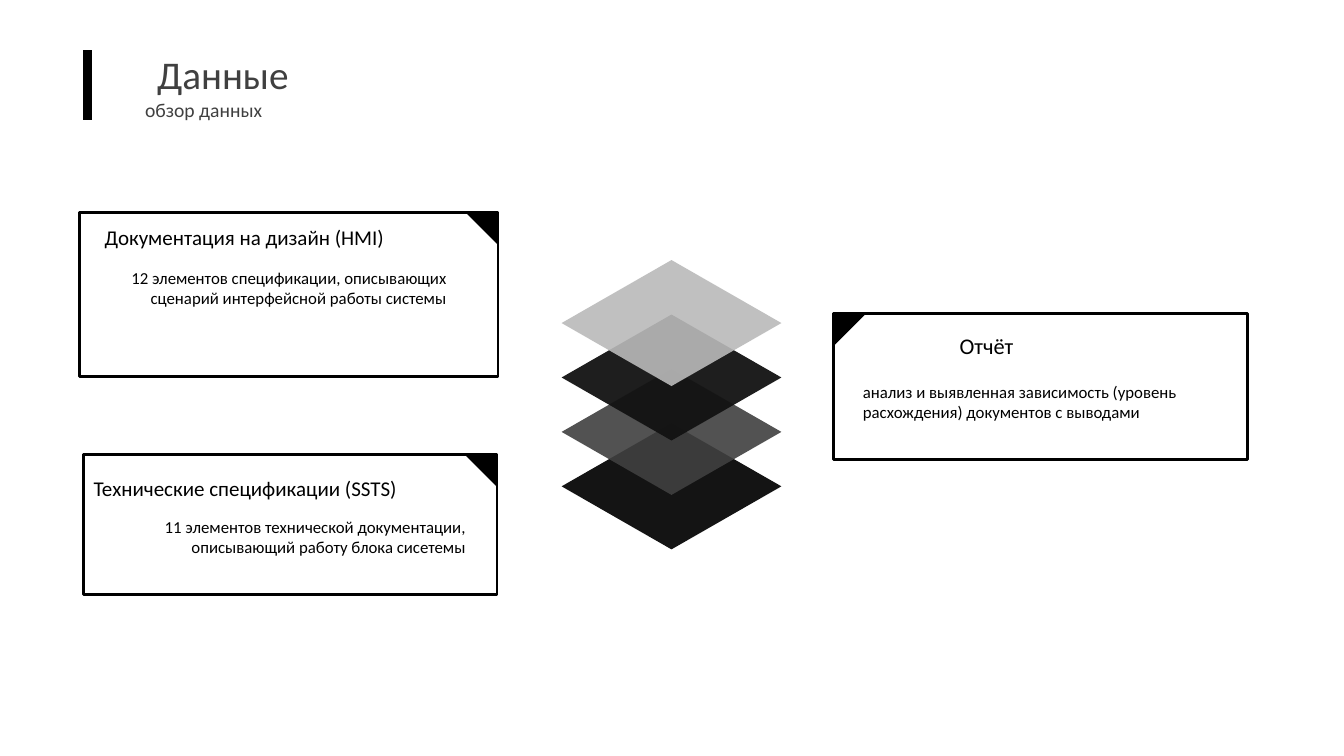
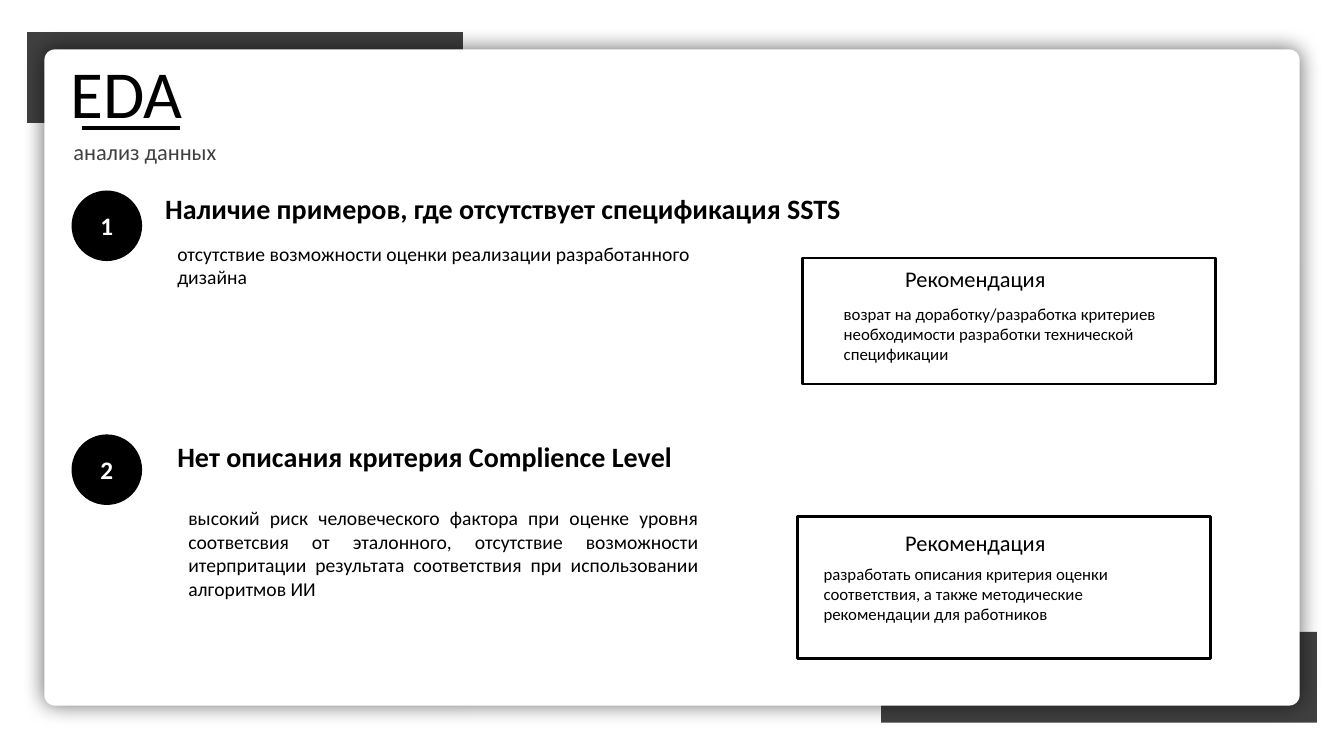
from lxml import etree
from pptx import Presentation
from pptx.dml.color import RGBColor
from pptx.enum.shapes import MSO_CONNECTOR, MSO_SHAPE
from pptx.enum.text import MSO_ANCHOR, MSO_AUTO_SIZE, PP_ALIGN
from pptx.oxml import parse_xml
from pptx.oxml.ns import nsdecls, qn
from pptx.util import Pt

PX = 9144  # 100 px to the inch
FONT = "Calibri"
COLORS = {"ink": "000000", "gray": "404040", "white": "FFFFFF",
          "coal": "141414", "night": "121212", "silver": "BABABA"}
LEFT, CENTER, RIGHT, JUSTIFY = (PP_ALIGN.LEFT, PP_ALIGN.CENTER,
                                PP_ALIGN.RIGHT, PP_ALIGN.JUSTIFY)

# Boxes are (left, top, width, height); texts are (text, box, size, alignment)
DATA_TITLE = ("Данные", (66, 45, 310, 56), 28, CENTER)
DATA_SUBTITLE = ("обзор данных", (134, 92, 246, 33), 14, LEFT)
DATA_CARDS = [
    {"frame": (79, 211, 415, 163), "corner": RIGHT, "texts": [
        ("Документация на дизайн (HMI)", (94, 218, 394, 36), 15, LEFT),
        ("12 элементов спецификации, описывающих сценарий интерфейсной работы системы",
         (79, 261, 374, 90), 12, RIGHT)]},
    {"frame": (83, 451, 410, 139), "corner": RIGHT, "texts": [
        ("Технические спецификации (SSTS)", (83, 467, 409, 35), 15, LEFT),
        ("11 элементов технической документации, описывающий работу блока сисетемы",
         (98, 508, 374, 90), 12, RIGHT)]},
    {"frame": (827, 311, 410, 145), "corner": LEFT, "texts": [
        ("Отчёт", (942, 325, 184, 36), 16, LEFT),
        ("анализ и выявленная зависимость (уровень расхождения) документов с выводами",
         (846, 374, 374, 70), 12, LEFT)]},
]
CORNER = 32
# Layers from bottom to top: colour, opacity in percent
LAYERS = [("coal", 100), ("gray", 90), ("night", 95), ("silver", 90)]
LAYER_BOX, LAYER_STEP = (557, 420, 218, 125), 54

EDA_TITLE = ("EDA", (60, 46, 175, 90), 48, LEFT)
EDA_SUBTITLE = ("анализ данных", (63, 132, 212, 36), 16, LEFT)
BANDS = [(874, 627, 432, 90), (27, 32, 432, 90)]
PANEL = (44, 49, 1245, 651)
ADVICE = "Рекомендация"
FINDINGS = [
    {"badge_top": 189, "frame": (796, 256, 410, 125), "texts": [
        ("Наличие примеров, где отсутствует спецификация SSTS",
         (154, 185, 1007, 43), 20, JUSTIFY),
        ("отсутствие возможности оценки реализации разработанного дизайна",
         (166, 235, 539, 80), 14, LEFT),
        (ADVICE, (888, 258, 243, 36), 16, LEFT),
        ("возрат на доработку/разработка критериев необходимости разработки технической спецификации",
         (827, 296, 374, 70), 12, LEFT)]},
    {"badge_top": 431, "frame": (791, 512, 410, 141), "texts": [
        ("Нет описания критерия Complience Level",
         (166, 431, 778, 43), 20, JUSTIFY),
        ("высокий риск человеческого фактора при оценке уровня соответсвия от эталонного, "
         "отсутствие возможности итерпритации результата соответствия при использовании "
         "алгоритмов ИИ", (177, 497, 526, 126), 14, JUSTIFY),
        (ADVICE, (888, 520, 243, 36), 16, LEFT),
        ("разработать описания критерия оценки соответствия, а также методические "
         "рекомендации для работников", (807, 554, 374, 90), 12, LEFT)]},
]
BADGE_LEFT, BADGE_SIZE = 71, 70


def emu(box):
    return [v * PX for v in box]


def rgb(name):
    return RGBColor.from_string(COLORS[name])


def fill_text(sp, text, size, align, color="ink", bold=False, anchor=MSO_ANCHOR.TOP):
    tf = sp.text_frame
    tf.text = text
    tf.word_wrap = True
    tf.auto_size = MSO_AUTO_SIZE.NONE
    tf.vertical_anchor = anchor
    p = tf.paragraphs[0]
    p.alignment = align
    f = p.runs[0].font
    f.name, f.size, f.bold = FONT, Pt(size), bold
    f.color.rgb = rgb(color)


def add_text(s, item, color="ink", bold=False):
    text, box, size, align = item
    fill_text(s.shapes.add_textbox(*emu(box)), text, size, align, color, bold)


def set_title(s, item, color):
    text, box, size, align = item
    title = s.shapes.title
    title.left, title.top, title.width, title.height = emu(box)
    fill_text(title, text, size, align, color)
    return title


def add_shape(s, kind, box, fill=None, opacity=100):
    sp = s.shapes.add_shape(kind, *emu(box))
    sp.shadow.inherit = False
    sp.line.fill.background()
    if fill is None:
        sp.fill.background()
        return sp
    sp.fill.solid()
    sp.fill.fore_color.rgb = rgb(fill)
    if opacity < 100:
        clr = sp.element.spPr.find(qn("a:solidFill"))[0]
        etree.SubElement(clr, qn("a:alpha")).set("val", str(opacity * 1000))
    return sp


def add_frame(s, box):
    sp = add_shape(s, MSO_SHAPE.RECTANGLE, box)
    sp.line.color.rgb = rgb("ink")
    sp.line.width = Pt(2)


def add_line(s, ends, width):
    line = s.shapes.add_connector(MSO_CONNECTOR.STRAIGHT, *emu(ends))
    line.line.color.rgb = rgb("ink")
    line.line.width = Pt(width)
    etree.SubElement(line.element.spPr, qn("a:effectLst"))


def add_glow(sp):
    """Soft shadow on all sides."""
    effects = sp.element.spPr.find(qn("a:effectLst"))
    effects.append(parse_xml(
        f'<a:outerShdw {nsdecls("a")} blurRad="190500" dist="0" algn="ctr" rotWithShape="0">'
        f'<a:srgbClr val="{COLORS["ink"]}"><a:alpha val="60000"/></a:srgbClr></a:outerShdw>'))


def build_data(prs):
    s = prs.slides.add_slide(prs.slide_layouts[5])
    # Heading
    set_title(s, DATA_TITLE, "gray")
    add_text(s, DATA_SUBTITLE, "gray")
    add_line(s, (87, 50, 87, 119), 6)
    # Stack of layers
    x, y, w, h = LAYER_BOX
    for i, (color, opacity) in enumerate(LAYERS):
        add_shape(s, MSO_SHAPE.DIAMOND, (x, y - i * LAYER_STEP, w, h), color, opacity)
    # Cards with a folded corner
    for card in DATA_CARDS:
        x, y, w, h = card["frame"]
        add_frame(s, card["frame"])
        at_right = card["corner"] == RIGHT
        corner_x = x + w - CORNER if at_right else x
        corner = add_shape(s, MSO_SHAPE.RIGHT_TRIANGLE,
                           (corner_x, y, CORNER, CORNER), "ink")
        corner.rotation = 180 if at_right else 90
        for item in card["texts"]:
            add_text(s, item)


def build_eda(prs):
    s = prs.slides.add_slide(prs.slide_layouts[5])
    # Bands and panel
    for band in BANDS:
        add_shape(s, MSO_SHAPE.RECTANGLE, band, "gray")
    panel = add_shape(s, MSO_SHAPE.ROUNDED_RECTANGLE, PANEL, "white")
    panel.adjustments[0] = 0.016
    add_glow(panel)
    # Heading, brought in front of the panel
    title = set_title(s, EDA_TITLE, "ink")
    panel.element.addnext(title.element)
    add_line(s, (81, 127, 179, 127), 3)
    add_text(s, EDA_SUBTITLE, "gray")
    # Numbered findings with recommendations
    for n, finding in enumerate(FINDINGS, 1):
        badge = add_shape(s, MSO_SHAPE.OVAL,
                          (BADGE_LEFT, finding["badge_top"], BADGE_SIZE, BADGE_SIZE), "ink")
        fill_text(badge, str(n), 18, CENTER, "white", True, MSO_ANCHOR.MIDDLE)
        add_frame(s, finding["frame"])
        for i, item in enumerate(finding["texts"]):
            add_text(s, item, bold=i == 0)


def main():
    prs = Presentation()
    prs.slide_width, prs.slide_height = emu((1333, 750))
    build_data(prs)
    build_eda(prs)
    prs.save("out.pptx")


if __name__ == "__main__":
    main()
